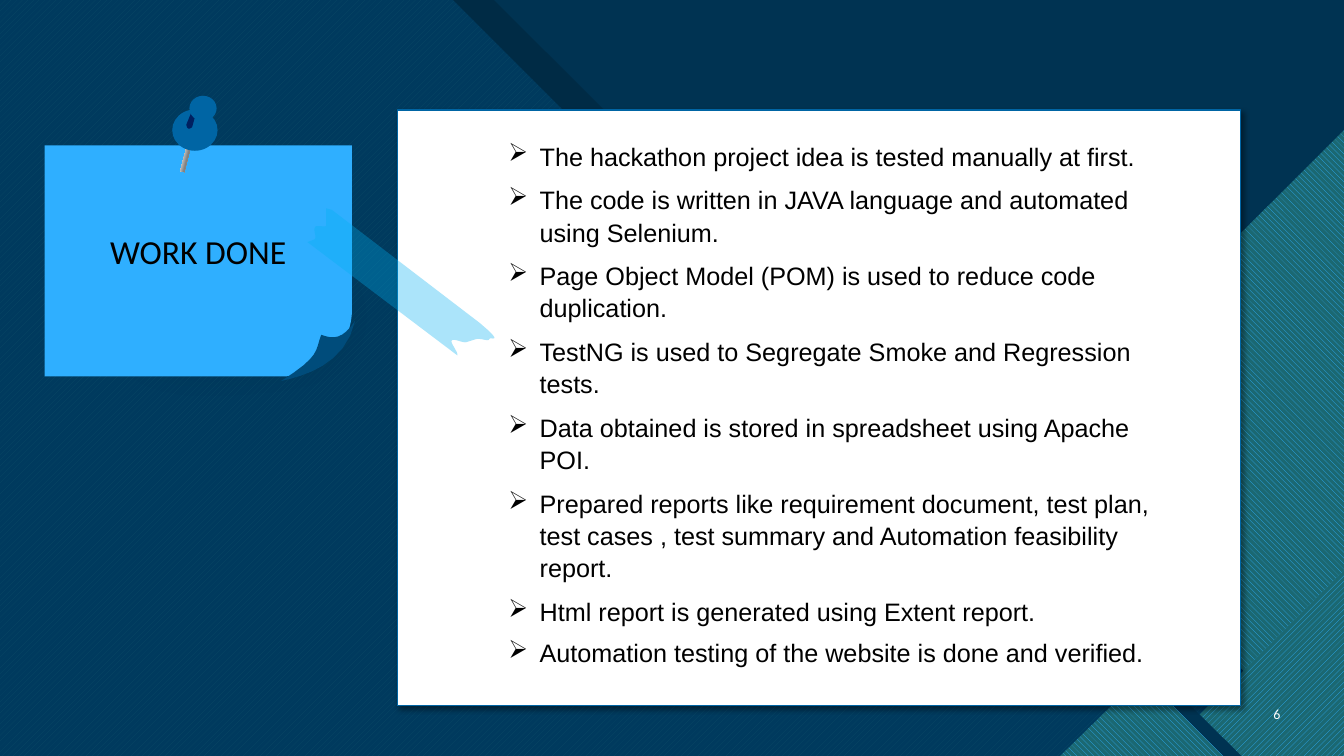
import dataclasses

import lxml.etree
import pptx
import pptx.dml.color
import pptx.enum.dml
import pptx.enum.shapes
import pptx.enum.text
import pptx.oxml.ns
import pptx.util

COLUMNS, ROWS = 160, 90
UNIT = pptx.util.Inches(13.33) / COLUMNS
SHAPES = pptx.enum.shapes.MSO_SHAPE
PATTERNS = pptx.enum.dml.MSO_PATTERN
ALIGN = pptx.enum.text.PP_ALIGN

NAVY, BLUE, SKY = "003352", "0065A4", "2FAFFF"
AQUA, TEAL, BLACK, WHITE = "47C3D3", "1B6872", "000000", "FFFFFF"

WORK_ITEMS = [
    "The hackathon project idea is tested manually at first.",
    "The code is written in JAVA language and automated using Selenium.",
    "Page Object Model (POM) is used to reduce code duplication.",
    "TestNG is used to Segregate Smoke and Regression tests.",
    "Data obtained is stored in spreadsheet using Apache POI.",
    "Prepared reports like requirement document, test plan, test cases , "
    "test summary and Automation feasibility report.",
    "Html report is generated using Extent report.",
    "Automation testing of the website is done and verified.",
]


@dataclasses.dataclass
class Box:
    """A region measured in grid columns and rows."""
    left: float
    top: float
    width: float
    height: float

    def inner(self, left, top, width, height):
        """Return the box at these shares of this one."""
        return Box(self.left + left * self.width, self.top + top * self.height,
                   width * self.width, height * self.height)

    def point(self, x, y):
        return (round((self.left + x * self.width) * UNIT),
                round((self.top + y * self.height) * UNIT))

    def frame(self):
        return [round(n * UNIT) for n in (self.left, self.top, self.width, self.height)]


def rgb(code):
    return pptx.dml.color.RGBColor.from_string(code)


def add_xml(parent, tag, **attributes):
    return lxml.etree.SubElement(parent, pptx.oxml.ns.qn(tag), attributes)


def add_color(parent, code, alpha=100):
    color = add_xml(parent, "a:srgbClr", val=code)
    if alpha < 100:
        add_xml(color, "a:alpha", val=str(alpha * 1000))


def paint(shape, code, alpha=100):
    shape.shadow.inherit = False
    shape.line.fill.background()
    shape.fill.solid()
    shape.fill.fore_color.rgb = rgb(code)
    if alpha < 100:
        color = shape._element.spPr.find(".//" + pptx.oxml.ns.qn("a:srgbClr"))
        add_xml(color, "a:alpha", val=str(alpha * 1000))
    return shape


def hatch(shape, pattern, front, back):
    shape.fill.patterned()
    shape.fill.pattern = pattern
    shape.fill.fore_color.rgb = rgb(front)
    shape.fill.back_color.rgb = rgb(back)


def add_preset(page, kind, box, code, alpha=100):
    return paint(page.shapes.add_shape(kind, *box.frame()), code, alpha)


def effects(shape):
    return shape._element.spPr.find(pptx.oxml.ns.qn("a:effectLst"))


def add_outline(page, box, steps, code, alpha=100):
    """Draw a closed outline; a step is a point, or three points of a curve."""
    points = []
    for step in steps:
        if not isinstance(step[0], tuple):
            points.append(step)
            continue
        corners = [points[-1], *step]
        for t in (n / 8 for n in range(1, 9)):
            weights = ((1 - t) ** 3, 3 * t * (1 - t) ** 2, 3 * t * t * (1 - t), t ** 3)
            points.append(tuple(sum(w * corner[axis] for w, corner in zip(weights, corners))
                                for axis in (0, 1)))
    places = [box.point(*point) for point in points]
    builder = page.shapes.build_freeform(*places[0], scale=1.0)
    builder.add_line_segments(places[1:], close=True)
    return paint(builder.convert_to_shape(), code, alpha)


def add_text(page, box, lines, size, font, code, align=ALIGN.LEFT):
    area = page.shapes.add_textbox(*box.frame()).text_frame
    area.word_wrap = True
    area.text = "\n".join(lines)
    for para in area.paragraphs:
        para.alignment = align
        para.font.size = pptx.util.Pt(size)
        para.font.name = font
        para.font.color.rgb = rgb(code)
    return area


def draw_backdrop(page, box):
    down, up = PATTERNS.WIDE_DOWNWARD_DIAGONAL, PATTERNS.WIDE_UPWARD_DIAGONAL
    layers = [
        ([(5, 0), (58.8, 0), (94.5, 35.6), (109.7, 35.6), (160, 86), (160, 90), (5, 90)],
         BLACK, 100, None, None),
        ([(0, 0), (53.9, 0), (89.5, 35.6), (104.6, 35.6), (159, 90), (0, 90)],
         BLUE, 100, up, AQUA),
        ([(0, 0), (83.4, 0), (119, 35.6), (134.2, 35.6), (160, 61.5), (160, 90), (0, 90)],
         NAVY, 85, None, None),
        ([(160, 18.6), (160, 85), (146.4, 85), (120, 58.6)], NAVY, 100, None, None),
        ([(160, 15.5), (160, 88.4), (156.6, 88.4), (121.8, 53.6)], TEAL, 100, down, SKY),
        ([(160, 73.7), (160, 90), (143.6, 90)], NAVY, 100, None, None),
        ([(160, 67.9), (160, 90), (137.9, 90)], TEAL, 100, up, SKY),
        ([(147.8, 90), (138, 80.3), (128.3, 90)], NAVY, 100, None, None),
        ([(126.2, 90), (136, 80.4), (145.6, 90)], TEAL, 100, down, SKY),
    ]
    add_preset(page, SHAPES.RECTANGLE, box, NAVY)
    for corners, code, alpha, pattern, front in layers:
        shares = [(x / COLUMNS, y / ROWS) for x, y in corners]
        layer = add_outline(page, box, shares, code, alpha)
        if pattern:
            hatch(layer, pattern, front, code)
    number = add_text(page, box.inner(0.92, 0.92, 0.04, 0.05), ["6"], 10, "Calibri",
                      WHITE, ALIGN.RIGHT)
    number.vertical_anchor = pptx.enum.text.MSO_ANCHOR.MIDDLE


def draw_note(page, box):
    shade = add_preset(page, SHAPES.RECTANGLE, box.inner(0.03, 0.28, 1.19, 0.96), BLACK, 56)
    shade.rotation = 357.3
    add_xml(effects(shade), "a:softEdge", rad=str(pptx.util.Pt(50)))
    sheet = add_preset(page, SHAPES.SNIP_ROUND_RECTANGLE, box, SKY)
    sheet.rotation = 180
    sheet.adjustments[0], sheet.adjustments[1] = 0.29, 0
    add_outline(page, box, [
        (1.01, 0.76),
        ((0.97, 0.84), (0.94, 0.84), (0.9, 0.82)),
        ((0.88, 0.89), (0.9, 0.91), (0.77, 1.02)),
        ((0.84, 1), (0.98, 0.95), (1.01, 0.76)),
    ], "004C7B")


def draw_card(page, box):
    card = add_preset(page, SHAPES.RECTANGLE, box, WHITE)
    card.line.color.rgb = rgb(BLUE)
    card.line.width = pptx.util.Pt(1)
    shadow = add_xml(effects(card), "a:outerShdw", blurRad=str(pptx.util.Pt(4)),
                     dist=str(pptx.util.Pt(3)), dir=str(45 * 60000), algn="tl")
    add_color(shadow, BLACK, 40)


def draw_tape(page, box):
    add_outline(page, box, [
        (0.8, 1), (0, 0.23), (0.04, 0.21),
        ((0.05, 0.19), (0.03, 0.15), (0.04, 0.13)),
        ((0.04, 0.11), (0.09, 0.13), (0.1, 0.12)),
        (0.1, 0.07), (0.1, 0), (0.13, 0.01), (0.92, 0.78),
        ((1.06, 0.93), (0.97, 0.87), (0.97, 0.89)),
        ((0.97, 0.91), (0.92, 0.88), (0.9, 0.89)),
        (0.85, 0.91),
        ((0.83, 0.92), (0.78, 0.88), (0.77, 0.9)),
        ((0.76, 0.91), (0.81, 0.99), (0.8, 1)),
    ], "00B0F0", 33)


def list_work(page, box):
    area = add_text(page, box, WORK_ITEMS, 18, "Arial", BLACK)
    indent = pptx.util.Inches(0.31)
    for para in area.paragraphs:
        props = para._p.get_or_add_pPr()
        props.set("marL", str(indent))
        props.set("indent", str(-indent))
        bullet = lxml.etree.Element(pptx.oxml.ns.qn("a:buChar"), char="➢")
        props.find(pptx.oxml.ns.qn("a:defRPr")).addprevious(bullet)
    for para in area.paragraphs[:-1]:
        para.line_spacing = 1.07
        para.space_after = pptx.util.Pt(8)


def draw_pin(page, box):
    needle = add_preset(page, SHAPES.RECTANGLE, box.inner(0.29, 0.47, 0.09, 0.53), "808080")
    needle.rotation = 14.7
    needle.fill.gradient()
    needle.fill.gradient_angle = 0
    stops = needle._element.spPr.find(".//" + pptx.oxml.ns.qn("a:gsLst"))
    stops.clear()
    for place, code in ((0, "808080"), (26, "F2F2F2"), (57, "808080"), (83, WHITE),
                        (100, "808080")):
        add_color(add_xml(stops, "a:gs", pos=str(place * 1000)), code)
    add_preset(page, SHAPES.OVAL, box.inner(0, 0.18, 1, 0.54), BLUE)
    add_outline(page, box, [
        (0.31, 0.38), (0.51, 0.09), (0.58, 0.11), (0.44, 0.41),
        ((0.36, 0.45), (0.33, 0.43), (0.31, 0.38)),
    ], "002060")
    add_preset(page, SHAPES.OVAL, box.inner(0.38, 0, 0.6, 0.33), BLUE)


def main():
    deck = pptx.Presentation()
    deck.slide_width, deck.slide_height = round(COLUMNS * UNIT), round(ROWS * UNIT)
    page = deck.slides.add_slide(deck.slide_layouts[6])
    note = Box(5.3, 17.3, 36.6, 27.5)
    card = Box(47.3, 13.1, 100.4, 70.9)
    draw_backdrop(page, Box(0, 0, COLUMNS, ROWS))
    draw_note(page, note)
    draw_card(page, card)
    add_text(page, note.inner(0, 0.35, 1, 0.22), ["WORK DONE"], 24, "Calibri", BLACK,
             ALIGN.CENTER)
    draw_tape(page, Box(36.6, 24.8, 22.3, 17.5))
    list_work(page, card.inner(0.12, 0.04, 0.82, 0.91))
    draw_pin(page, Box(20.5, 11.4, 5.4, 9.1))
    deck.save("out.pptx")


if __name__ == "__main__":
    main()
